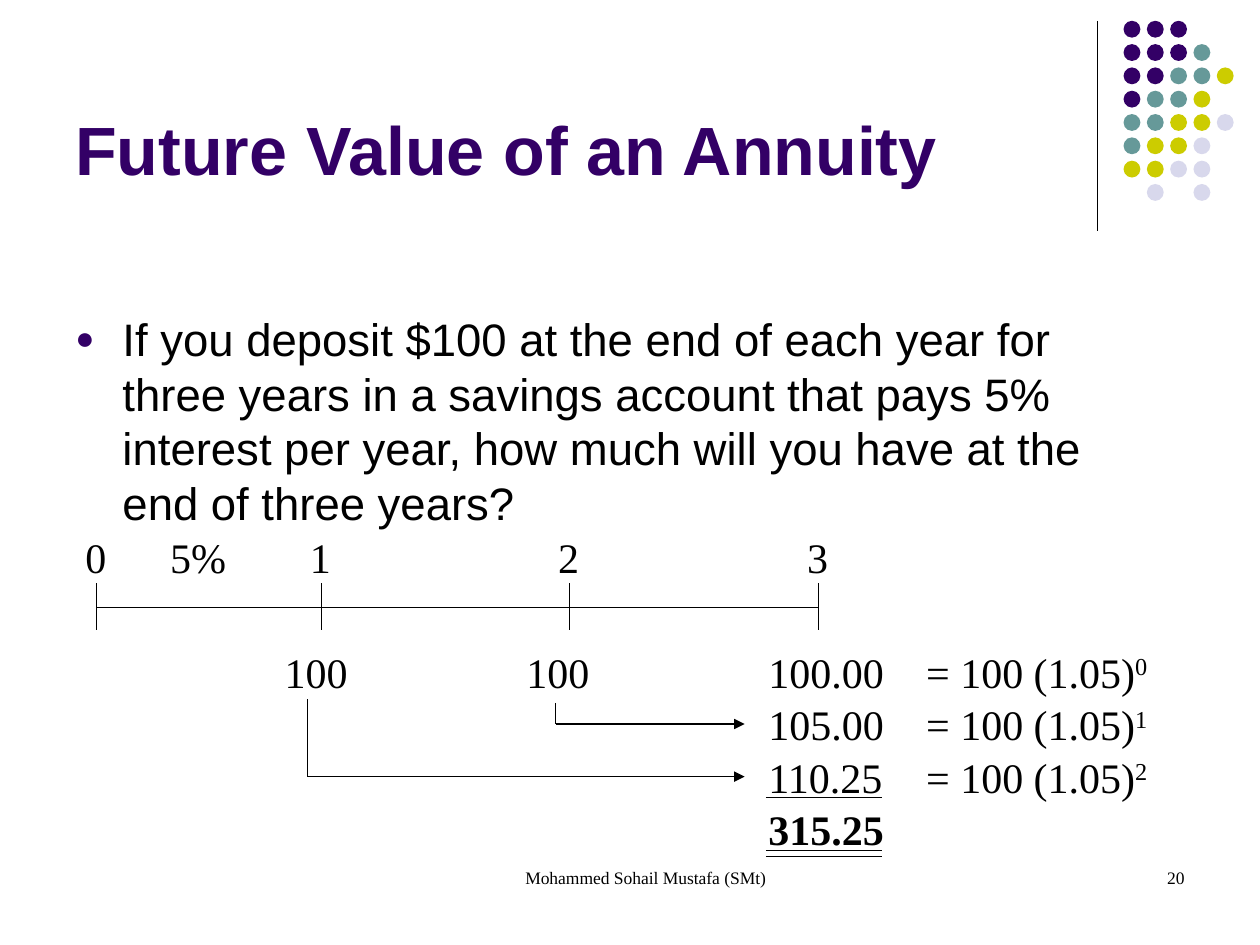
import pptx
import pptx.dml.color
import pptx.enum.shapes
import pptx.enum.text
import pptx.oxml.ns
import pptx.util
from lxml import etree

Cm = pptx.util.Cm
Pt = pptx.util.Pt
ALIGN = pptx.enum.text.PP_ALIGN
ANCHOR = pptx.enum.text.MSO_ANCHOR

COLORS = {
    "purple": "330066",
    "teal": "669999",
    "olive": "CCCC00",
    "lavender": "D8D8EC",
    "black": "000000",
}
DOT_COLORS = {"P": "purple", "T": "teal", "O": "olive", "L": "lavender"}
DOT_ROWS = ["PPP", "PPPT", "PPTTO", "PTTO", "TTOOL", "TOOL", "OOLL", " L L"]

QUESTION = (
    "If you deposit $100 at the end of each year for three years in a savings "
    "account that pays 5% interest per year, how much will you have at the end "
    "of three years?"
)
YEAR_XS = [1.95, 6.48, 11.48, 16.5]
VALUES_TOP = 12.9
VALUE_STEP = 1.06
BOX_HEIGHT = 1.27


def color(name):
    return pptx.dml.color.RGBColor.from_string(COLORS[name])


def add_child(parent, tag, **attributes):
    return etree.SubElement(parent, pptx.oxml.ns.qn(tag), attributes)


def add_text(slide, text, left, top, width, height=BOX_HEIGHT, size=24,
             font="Times New Roman", color_name="black", bold=False,
             align=ALIGN.LEFT, anchor=ANCHOR.TOP):
    box = slide.shapes.add_textbox(Cm(left), Cm(top), Cm(width), Cm(height))
    frame = box.text_frame
    frame.word_wrap = True
    frame.vertical_anchor = anchor
    paragraph = frame.paragraphs[0]
    paragraph.text = text
    paragraph.alignment = align
    paragraph.font.size = Pt(size)
    paragraph.font.name = font
    paragraph.font.bold = bold
    paragraph.font.color.rgb = color(color_name)
    return paragraph


def add_superscript(paragraph, text):
    run = paragraph.add_run()
    run.text = text
    run._r.get_or_add_rPr().set("baseline", "30000")


def add_bullet(paragraph):
    properties = paragraph._p.get_or_add_pPr()
    properties.set("marL", str(Cm(0.95)))
    properties.set("indent", str(-Cm(0.95)))
    bullet_color = add_child(properties, "a:buClr")
    add_child(bullet_color, "a:srgbClr", val=COLORS["purple"])
    add_child(properties, "a:buSzPct", val="70000")
    add_child(properties, "a:buFont", typeface="Arial")
    add_child(properties, "a:buChar", char="●")


def add_line(slide, x1, y1, x2, y2, arrow=False):
    connector = slide.shapes.add_connector(
        pptx.enum.shapes.MSO_CONNECTOR.STRAIGHT, Cm(x1), Cm(y1), Cm(x2), Cm(y2))
    connector.line.color.rgb = color("black")
    connector.line.width = Pt(0.75)
    if arrow:
        add_child(connector.line._get_or_add_ln(), "a:tailEnd", type="triangle")
    add_child(connector._element.spPr, "a:effectLst")


def add_dots(slide, left=22.65, top=0.42, step=0.47, size=0.34):
    for row, letters in enumerate(DOT_ROWS):
        for column, letter in enumerate(letters):
            if letter == " ":
                continue
            dot = slide.shapes.add_shape(
                pptx.enum.shapes.MSO_SHAPE.OVAL, Cm(left + column * step),
                Cm(top + row * step), Cm(size), Cm(size))
            dot.shadow.inherit = False
            dot.fill.solid()
            dot.fill.fore_color.rgb = color(DOT_COLORS[letter])
            dot.line.fill.background()


def add_timeline(slide):
    add_line(slide, YEAR_XS[0], 12.24, YEAR_XS[-1], 12.24)
    for year, x in enumerate(YEAR_XS):
        add_line(slide, x, 11.76, x, 12.7)
        add_text(slide, str(year), x - 0.48, 10.58, 1.2)
    add_text(slide, "5%", 3.18, 10.58, 1.7)
    for left in (5.49, 10.36):
        add_text(slide, "100", left, VALUES_TOP, 2.1)


def add_future_values(slide):
    for power, amount in enumerate(["100.00", "105.00", "110.25"]):
        top = VALUES_TOP + power * VALUE_STEP
        add_text(slide, amount, 15.24, top, 3.81)
        formula = add_text(slide, "= 100 (1.05)", 18.42, top, 5.72)
        add_superscript(formula, str(power))
    add_text(slide, "315.25", 15.24, VALUES_TOP + 3 * VALUE_STEP, 3.81, bold=True)
    for y in (16.08, 17.15, 17.27):
        add_line(slide, 15.44, y, 17.78, y)


def add_growth_arrow(slide, x, top, power):
    y = VALUES_TOP + power * VALUE_STEP + BOX_HEIGHT / 2
    add_line(slide, x, top, x, y)
    add_line(slide, x, y, 15.01, y, arrow=True)


def main():
    presentation = pptx.Presentation()
    presentation.slide_width = Cm(25.4)
    presentation.slide_height = Cm(19.05)
    slide = presentation.slides.add_slide(presentation.slide_layouts[6])

    add_line(slide, 22.12, 0.42, 22.12, 4.66)
    add_dots(slide)
    add_text(slide, "Future Value of an Annuity", 1.27, 0.33, 20.96, 3.6, size=39,
             font="Arial", color_name="purple", bold=True, anchor=ANCHOR.BOTTOM)
    add_bullet(add_text(slide, QUESTION, 1.27, 6.15, 22.23, 11.86, size=26,
                        font="Arial"))
    add_timeline(slide)
    add_future_values(slide)
    add_growth_arrow(slide, 11.2, 14.17, 1)
    add_growth_arrow(slide, 6.2, 14.1, 2)
    add_text(slide, "Mohammed Sohail Mustafa (SMt)", 8.99, 17.35, 8.05, size=10,
             align=ALIGN.CENTER)
    add_text(slide, "20", 18.21, 17.35, 5.92, size=10, align=ALIGN.RIGHT)
    presentation.save("out.pptx")


if __name__ == "__main__":
    main()
